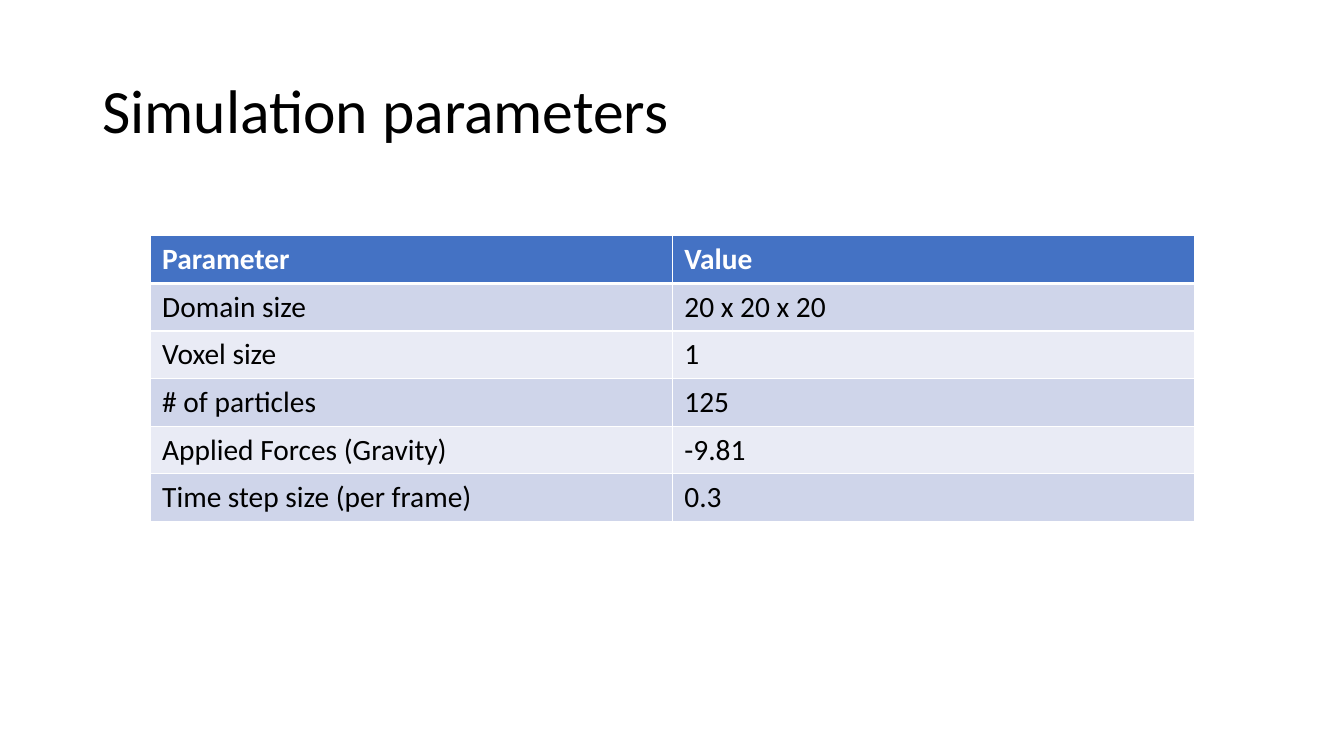
from pptx import Presentation
from pptx.dml.color import RGBColor
from pptx.enum.text import MSO_ANCHOR as Anchor
from pptx.oxml import parse_xml
from pptx.oxml.ns import nsdecls
from pptx.util import Pt

BLACK = RGBColor(0x00, 0x00, 0x00)
WHITE = RGBColor(0xFF, 0xFF, 0xFF)
BLUE = RGBColor(0x44, 0x72, 0xC4)
DARK = RGBColor(0xCF, 0xD5, 0xEA)
LIGHT = RGBColor(0xE9, 0xEB, 0xF5)

ROWS = [
    ("Parameter", "Value"),
    ("Domain size", "20 x 20 x 20"),
    ("Voxel size", "1"),
    ("# of particles", "125"),
    ("Applied Forces (Gravity)", "-9.81"),
    ("Time step size (per frame)", "0.3"),
]


def style(para, size, color, bold=False):
    for run in para.runs:
        font = run.font
        font.name = "Calibri"
        font.size = Pt(size)
        font.bold = bold
        font.color.rgb = color


def add_title(slide, text):
    box = slide.shapes.add_textbox(Pt(66), Pt(28.8), Pt(828), Pt(104.4))
    frame = box.text_frame
    frame.word_wrap = True
    frame.vertical_anchor = Anchor.MIDDLE
    frame.text = text
    para = frame.paragraphs[0]
    para.line_spacing = 0.9
    style(para, 44, BLACK)


def add_edge(cell, side, width):
    cell._tc.get_or_add_tcPr().append(parse_xml(
        f'<a:ln{side} {nsdecls("a")} w="{Pt(width)}"><a:solidFill>'
        f'<a:srgbClr val="{WHITE}"/></a:solidFill></a:ln{side}>'))


def fill_cell(cell, text, row):
    head = row == 0
    widths = {"L": 1, "R": 1, "T": 3 if row == 1 else 1, "B": 3 if head else 1}
    for side, width in widths.items():
        add_edge(cell, side, width)
    cell.fill.solid()
    cell.fill.fore_color.rgb = BLUE if head else DARK if row % 2 else LIGHT
    cell.margin_left = cell.margin_right = Pt(8.4)
    cell.margin_top = cell.margin_bottom = Pt(4.2)
    cell.text_frame.text = text
    style(cell.text_frame.paragraphs[0], 21, WHITE if head else BLACK, head)


def add_grid(slide, rows):
    high = 34
    frame = slide.shapes.add_table(
        len(rows), len(rows[0]), Pt(107.5), Pt(168.5), Pt(746), Pt(high * len(rows)))
    table = frame.table
    for r, texts in enumerate(rows):
        table.rows[r].height = Pt(high)
        for c, text in enumerate(texts):
            fill_cell(table.cell(r, c), text, r)


def main():
    deck = Presentation()
    deck.slide_width = Pt(960)
    deck.slide_height = Pt(540)
    slide = deck.slides.add_slide(deck.slide_layouts[6])
    add_title(slide, "Simulation parameters")
    add_grid(slide, ROWS)
    deck.save("out.pptx")


if __name__ == "__main__":
    main()
